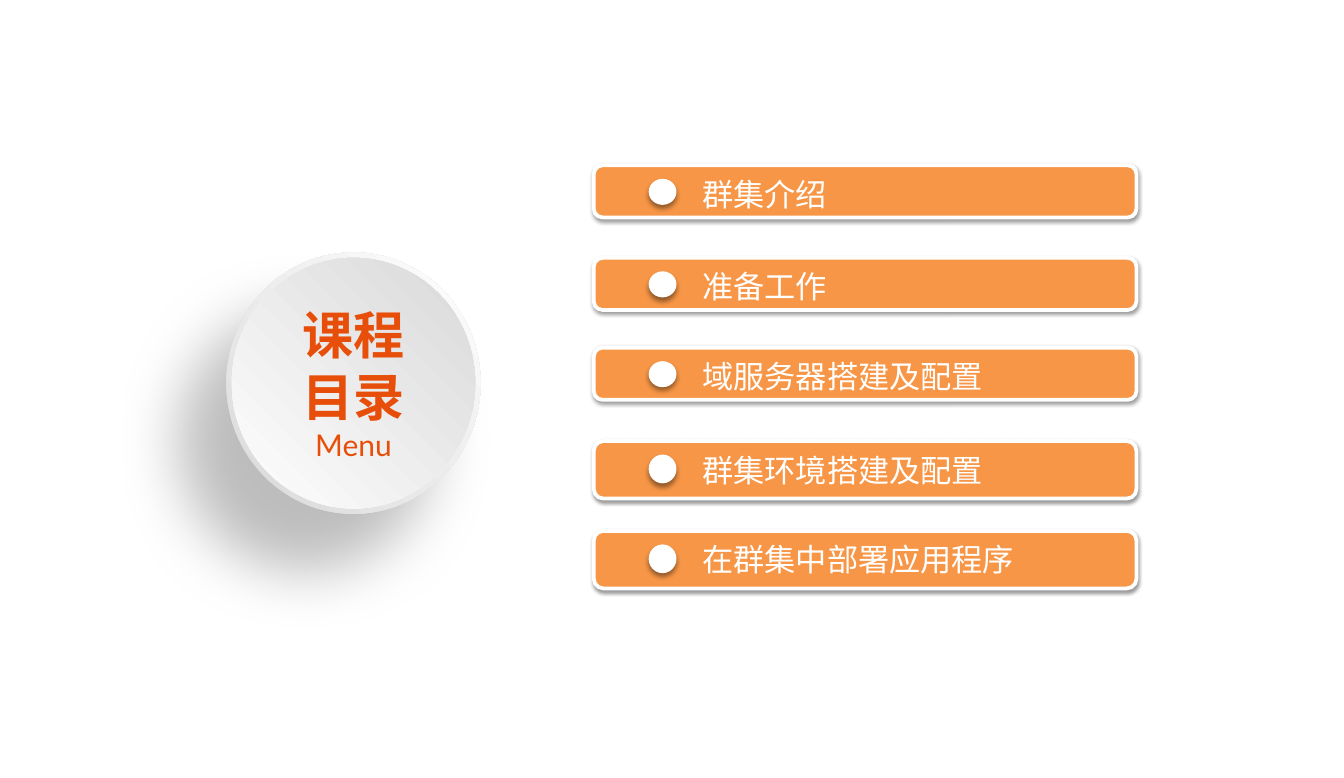
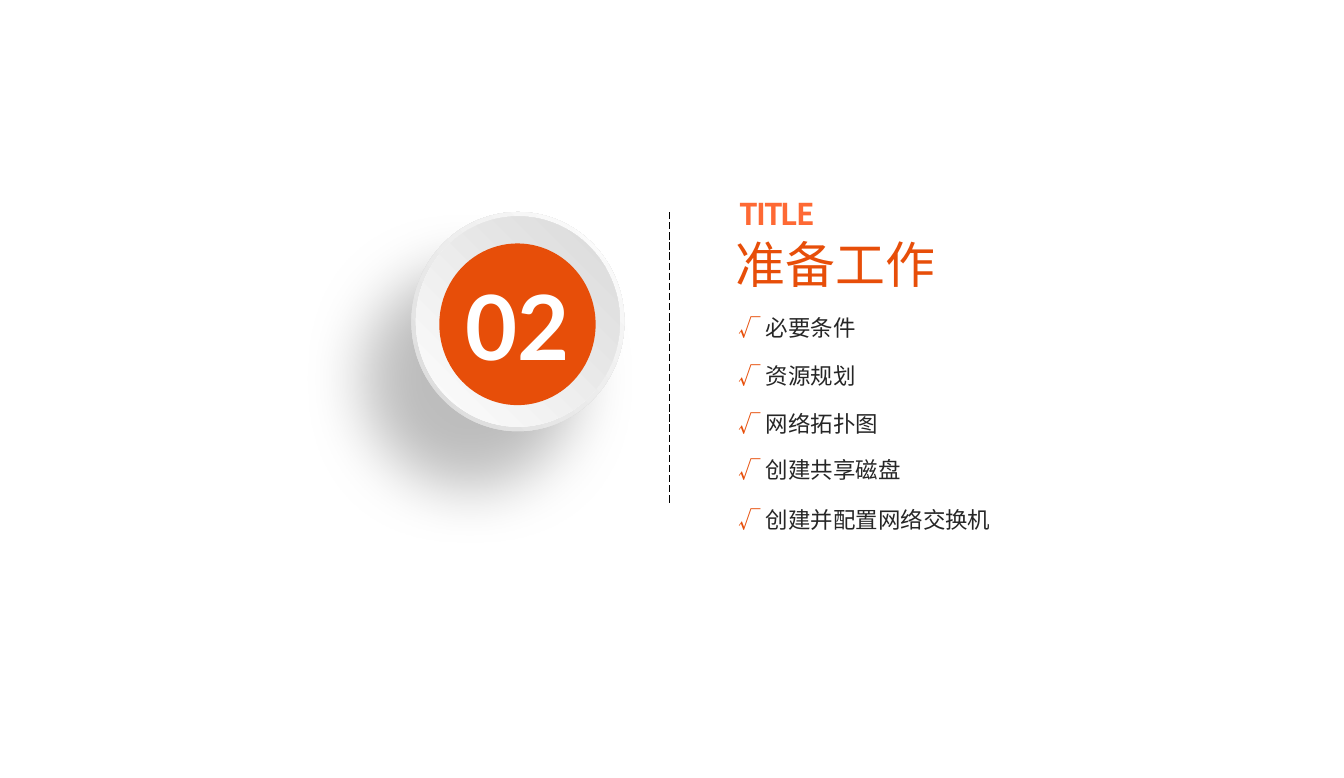
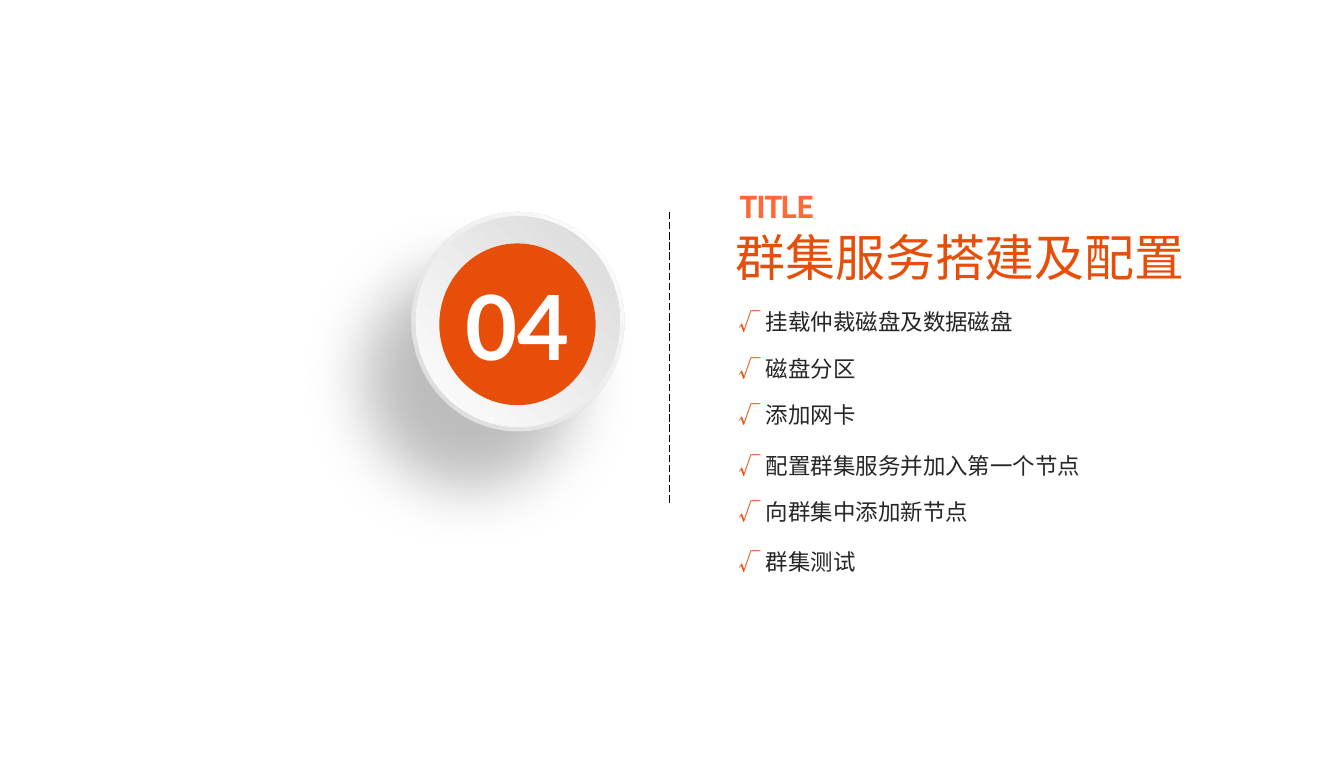
from lxml.etree import SubElement
from pptx import Presentation
from pptx.dml.color import RGBColor
from pptx.enum.dml import MSO_LINE_DASH_STYLE as Dash
from pptx.enum.shapes import MSO_CONNECTOR as Conn, MSO_SHAPE as Shape
from pptx.enum.text import MSO_ANCHOR as Anchor, MSO_AUTO_SIZE as AutoSize, PP_ALIGN as Align
from pptx.oxml import parse_xml
from pptx.oxml.ns import nsdecls, qn
from pptx.util import Inches, Pt

COLORS = {
    "accent": "E74E09",
    "bar": "F79646",
    "label": "FE6934",
    "ink": "262626",
    "white": "FFFFFF",
    "pearl": "FEFEFE",
    "gray": "D9D9D9",
    "black": "000000",
}
LATIN = "Lato"
CJK = "Noto Sans CJK SC"
DISC_SHADOW = (25, 50, 60, 130)
BAR_SHADOW = (38, 3.1, 1.6, 90)
DOT_SHADOW = (40, 4, 3, 90)


def rgb(name):
    return RGBColor.from_string(COLORS[name])


def add_run(p, text, size=18, color="ink", font=CJK, bold=False, spacing=None):
    r = p.add_run()
    r.text = text
    r.font.size = Pt(size)
    r.font.bold = bold
    r.font.name = font
    r.font.color.rgb = rgb(color)
    rPr = r.font._element
    SubElement(rPr, qn("a:ea")).set("typeface", CJK)
    if spacing is not None:
        rPr.set("spc", str(int(spacing * 100)))
    return r


class Deck:
    def __init__(self, width, height):
        self.prs = Presentation()
        self.prs.slide_width = Inches(width)
        self.prs.slide_height = Inches(height)
        self.slide = None

    def new_slide(self):
        self.slide = self.prs.slides.add_slide(self.prs.slide_layouts[6])

    def shape(self, kind, x, y, w, h, fill=None, gradient=None, line=None, shadow=None):
        sp = self.slide.shapes.add_shape(kind, Inches(x), Inches(y), Inches(w), Inches(h))
        sp.shadow.inherit = False
        if gradient:
            self.set_gradient(sp, *gradient)
        else:
            sp.fill.solid()
            sp.fill.fore_color.rgb = rgb(fill)
        if line:
            sp.line.color.rgb = rgb(line)
            sp.line.width = Pt(3)
        else:
            sp.line.fill.background()
        if shadow:
            self.set_shadow(sp, *shadow)
        return sp

    def set_gradient(self, sp, start, end):
        sp.fill.background()
        spPr = sp._element.spPr
        stops = "".join(
            f'<a:gs pos="{pos}"><a:srgbClr val="{COLORS[name]}"/></a:gs>'
            for pos, name in ((0, start), (100000, end))
        )
        grad = parse_xml(
            f'<a:gradFill {nsdecls("a")} rotWithShape="1"><a:gsLst>{stops}</a:gsLst>'
            '<a:path path="circle"><a:fillToRect l="100000" b="100000"/></a:path></a:gradFill>'
        )
        spPr.replace(spPr.find(qn("a:noFill")), grad)

    def set_shadow(self, sp, alpha, blur, dist, angle):
        sp._element.spPr.find(qn("a:effectLst")).append(parse_xml(
            f'<a:outerShdw {nsdecls("a")} blurRad="{Pt(blur)}" dist="{Pt(dist)}" '
            f'dir="{angle * 60000}" algn="ctr" rotWithShape="0">'
            f'<a:srgbClr val="{COLORS["black"]}"><a:alpha val="{alpha * 1000}"/>'
            '</a:srgbClr></a:outerShdw>'
        ))

    def text(self, x, y, w, h, *runs):
        tb = self.slide.shapes.add_textbox(Inches(x), Inches(y), Inches(w), Inches(h))
        tf = tb.text_frame
        tf.word_wrap = True
        tf.auto_size = AutoSize.SHAPE_TO_FIT_TEXT
        for text, style in runs:
            add_run(tf.paragraphs[0], text, **style)

    def centered(self, sp, *paragraphs):
        tf = sp.text_frame
        tf.word_wrap = True
        tf.vertical_anchor = Anchor.MIDDLE
        tf.margin_left = tf.margin_right = 0
        for i, runs in enumerate(paragraphs):
            p = tf.add_paragraph() if i else tf.paragraphs[0]
            p.alignment = Align.CENTER
            for text, style in runs:
                add_run(p, text, font=LATIN, **style)

    def disc(self, x, y, w, h, rim):
        self.shape(Shape.OVAL, x, y, w, h, gradient=("white", "gray"), shadow=DISC_SHADOW)
        return self.shape(Shape.OVAL, x + rim, y + rim, w - 2 * rim, h - 2 * rim,
                          gradient=("gray", "pearl"))

    def menu_bar(self, y, h, text):
        self.shape(Shape.ROUNDED_RECTANGLE, 6.61, y, 6.04, h, fill="bar", line="white",
                   shadow=BAR_SHADOW)
        self.text(7.72, y + 0.06, 4.38, h - 0.11, (text, dict(size=25, color="white")))
        self.shape(Shape.OVAL, 7.22, y + 0.15, 0.31, h / 2, fill="white", shadow=DOT_SHADOW)

    def divider(self, x, top, bottom):
        ln = self.slide.shapes.add_connector(
            Conn.STRAIGHT, Inches(x), Inches(top), Inches(x), Inches(bottom))
        ln.line.color.rgb = rgb("black")
        ln.line.width = Pt(0.75)
        ln.line.dash_style = Dash.LONG_DASH
        SubElement(ln._element.spPr, qn("a:effectLst"))

    def check_item(self, y, text):
        self.text(8.12, y, 5.41, 0.4, ("√ ", dict(color="accent")), (text, {}))

    def menu(self, bars):
        self.new_slide()
        face = self.disc(2.52, 2.81, 2.83, 2.91, 0.06)
        heading = dict(size=41, color="accent", bold=True)
        self.centered(face, [("课程", heading)],
                      [("目录", heading), ("Menu", dict(size=24, color="accent"))])
        for bar in bars:
            self.menu_bar(*bar)

    def section(self, number, title, top, items):
        self.new_slide()
        self.text(8.09, top + 0.42, 5.44, 0.77, (title, dict(size=40, color="accent")))
        self.text(8.13, top, 2.51, 0.91,
                  ("TITLE", dict(size=24, color="label", bold=True, spacing=-1.5)))
        self.disc(4.58, 2.36, 2.37, 2.44, 0.05)
        core = self.shape(Shape.OVAL, 4.89, 2.71, 1.74, 1.8, fill="accent")
        self.centered(core, [(number, dict(size=72, color="white", bold=True))])
        self.divider(7.45, 2.36, 5.61)
        for item in items:
            self.check_item(*item)


def main():
    deck = Deck(14.96, 8.66)
    deck.menu([
        (1.84, 0.58, "群集介绍"),
        (2.87, 0.58, "准备工作"),
        (3.87, 0.58, "域服务器搭建及配置"),
        (4.91, 0.64, "群集环境搭建及配置"),
        (5.91, 0.64, "在群集中部署应用程序"),
    ])
    deck.section("02", "准备工作", 2.13, [
        (3.45, "必要条件"),
        (3.98, "资源规划"),
        (4.51, "网络拓扑图"),
        (5.03, "创建共享磁盘"),
        (5.58, "创建并配置网络交换机"),
    ])
    deck.section("04", "群集服务搭建及配置", 2.05, [
        (3.38, "挂载仲裁磁盘及数据磁盘"),
        (3.9, "磁盘分区"),
        (4.41, "添加网卡"),
        (4.98, "配置群集服务并加入第一个节点"),
        (5.5, "向群集中添加新节点"),
        (6.05, "群集测试"),
    ])
    deck.prs.save("out.pptx")


if __name__ == "__main__":
    main()
